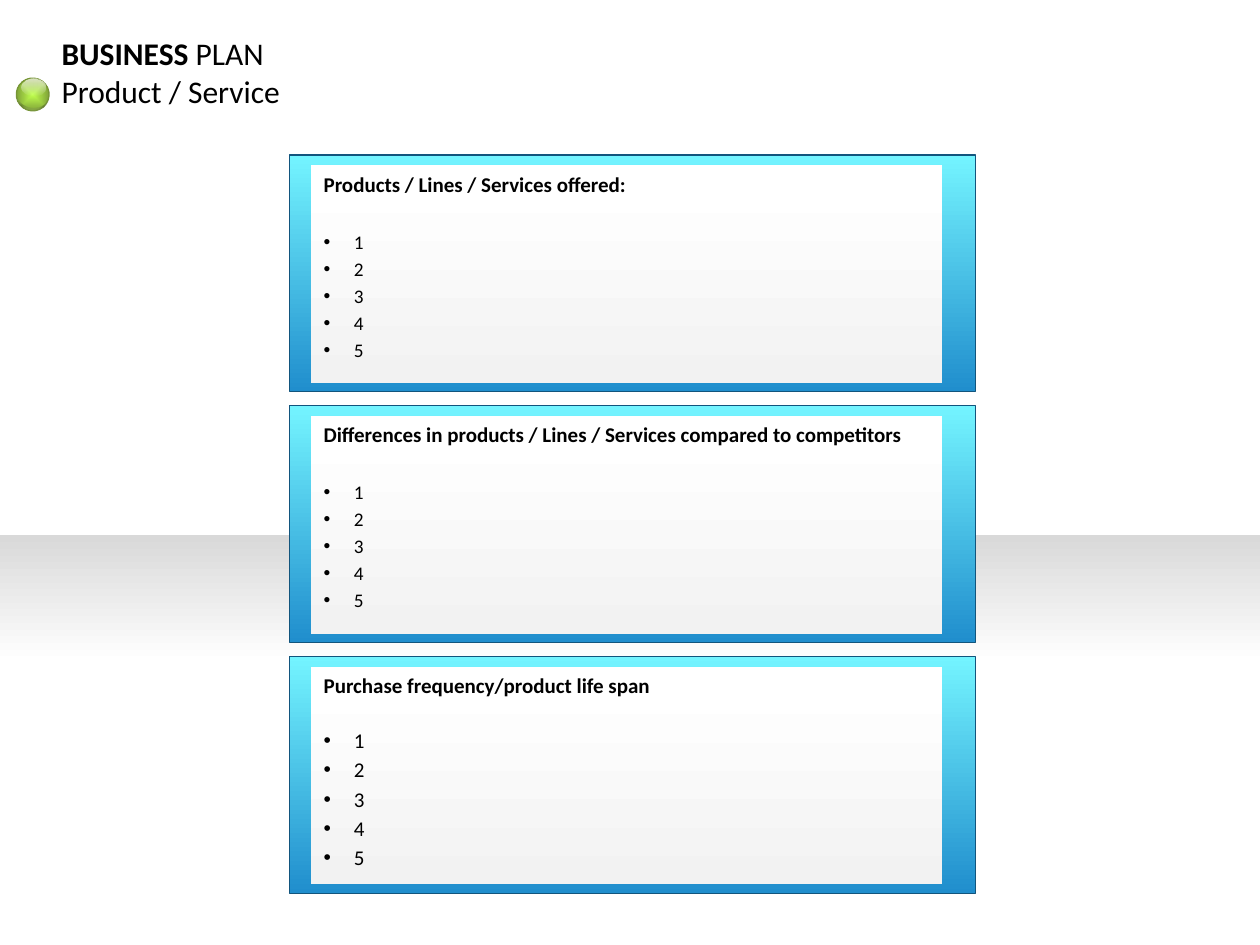
from lxml import etree
from pptx import Presentation
from pptx.dml.color import RGBColor
from pptx.enum.shapes import MSO_SHAPE
from pptx.enum.text import MSO_ANCHOR, PP_ALIGN
from pptx.oxml.ns import qn
from pptx.util import Inches, Pt

RECT, OVAL, MOON = MSO_SHAPE.RECTANGLE, MSO_SHAPE.OVAL, MSO_SHAPE.MOON
TOP, LEFT = MSO_ANCHOR.TOP, PP_ALIGN.LEFT

BLACK = RGBColor(0x00, 0x00, 0x00)
WHITE = RGBColor(0xFF, 0xFF, 0xFF)
CREAM = RGBColor(0xFF, 0xFC, 0xF9)
PALE = RGBColor(0xF2, 0xF2, 0xF2)
GREY = RGBColor(0xD9, 0xD9, 0xD9)
CYAN = RGBColor(0x74, 0xF4, 0xFF)
BLUE = RGBColor(0x20, 0x8E, 0xCD)
NAVY = RGBColor(0x12, 0x55, 0x7D)
LIME = RGBColor(0xC0, 0xFF, 0x4D)
OLIVE = RGBColor(0x76, 0x95, 0x35)

COLUMNS, ROWS = 100, 75


class PlanSlide:
    font = "Calibri"
    indent = Inches(0.24)

    def __init__(self, deck):
        self.slide = deck.slides.add_slide(deck.slide_layouts[6])
        self.column = deck.slide_width / COLUMNS
        self.row = deck.slide_height / ROWS

    def place(self, left, top, width, height):
        return (round(left * self.column), round(top * self.row),
                round(width * self.column), round(height * self.row))

    def gradient(self, shape, stops, angle):
        shape.fill.gradient()
        fill = shape._element.spPr.find(qn("a:gradFill"))
        for child in list(fill):
            fill.remove(child)
        stop_list = etree.SubElement(fill, qn("a:gsLst"))
        for position, color, opacity in stops:
            stop = etree.SubElement(stop_list, qn("a:gs"), pos=str(position * 1000))
            tint = etree.SubElement(stop, qn("a:srgbClr"), val=str(color))
            if opacity < 100:
                etree.SubElement(tint, qn("a:alpha"), val=str(opacity * 1000))
        if angle is None:
            radial = etree.SubElement(fill, qn("a:path"), path="shape")
            etree.SubElement(radial, qn("a:fillToRect"),
                             dict.fromkeys("ltrb", "50000"))
        else:
            etree.SubElement(fill, qn("a:lin"), ang=str(angle * 60000), scaled="0")

    def shape(self, kind, place, stops, angle=90, line=None, rotation=0):
        shape = self.slide.shapes.add_shape(kind, *self.place(*place))
        shape.shadow.inherit = False
        shape.rotation = rotation
        self.gradient(shape, stops, angle)
        if line is None:
            shape.line.fill.background()
        else:
            shape.line.color.rgb = line
            shape.line.width = Pt(0.75)
        return shape

    def run(self, paragraph, text, size, bold=False):
        run = paragraph.add_run()
        run.text = text
        run.font.name = self.font
        run.font.size = Pt(size)
        run.font.bold = bold
        run.font.color.rgb = BLACK

    def title(self, place, lines, size):
        frame = self.slide.shapes.add_textbox(*self.place(*place)).text_frame
        frame.word_wrap = True
        for number, line in enumerate(lines):
            paragraph = frame.add_paragraph() if number else frame.paragraphs[0]
            for text, bold in line:
                self.run(paragraph, text, size, bold)

    def bullet(self, frame, text, size, gap):
        paragraph = frame.add_paragraph()
        paragraph.alignment = LEFT
        paragraph.space_before = Pt(gap)
        properties = paragraph._p.get_or_add_pPr()
        properties.set("marL", str(self.indent))
        properties.set("indent", str(-self.indent))
        etree.SubElement(properties, qn("a:buFont"), typeface="Arial")
        etree.SubElement(properties, qn("a:buChar"), char="•")
        self.run(paragraph, text, size)

    def card(self, top, heading, items, size, heading_gap):
        self.shape(RECT, (23, top, 54.4, 18.8),
                   [(0, CYAN, 100), (100, BLUE, 100)], line=NAVY)
        panel = self.shape(RECT, (24.7, top + 0.8, 50.1, 17.3),
                           [(9, WHITE, 100), (100, PALE, 100)])
        frame = panel.text_frame
        frame.word_wrap = True
        frame.vertical_anchor = TOP
        frame.paragraphs[0].alignment = LEFT
        self.run(frame.paragraphs[0], heading, 12, True)
        for number, item in enumerate(items):
            self.bullet(frame, item, size, 0.2 * size if number else heading_gap)

    def marble(self):
        self.shape(OVAL, (1.3, 6.2, 2.6, 2.6),
                   [(0, LIME, 100), (100, OLIVE, 100)], None, OLIVE, 350.9)
        self.shape(OVAL, (1.7, 6.2, 1.9, 1.4),
                   [(0, WHITE, 0), (100, CREAM, 77)], 270)
        shade = self.shape(MOON, (2, 6.9, 1.2, 2.6),
                           [(24, BLACK, 24), (100, WHITE, 0)], None, rotation=275.9)
        shade.adjustments[0] = 0.19


deck = Presentation()
deck.slide_width, deck.slide_height = Inches(10), Inches(7.5)
plan = PlanSlide(deck)

plan.shape(RECT, (0, 42.5, 100, 26),
           [(0, GREY, 100), (39, WHITE, 100), (100, WHITE, 100)])
plan.title((3.9, 2.2, 22.8, 7.1),
           [[("BUSINESS", True), (" PLAN", False)], [("Product / Service", False)]], 18)

CARDS = [
    ("Products / Lines / Services offered:", 11, 19.2),
    ("Differences in products / Lines / Services compared to competitors", 11, 19.2),
    ("Purchase frequency/product life span", 12, 16.8),
]
for index, (heading, size, heading_gap) in enumerate(CARDS):
    plan.card(12.3 + 19.9 * index, heading, "12345", size, heading_gap)
plan.marble()

deck.save("out.pptx")
